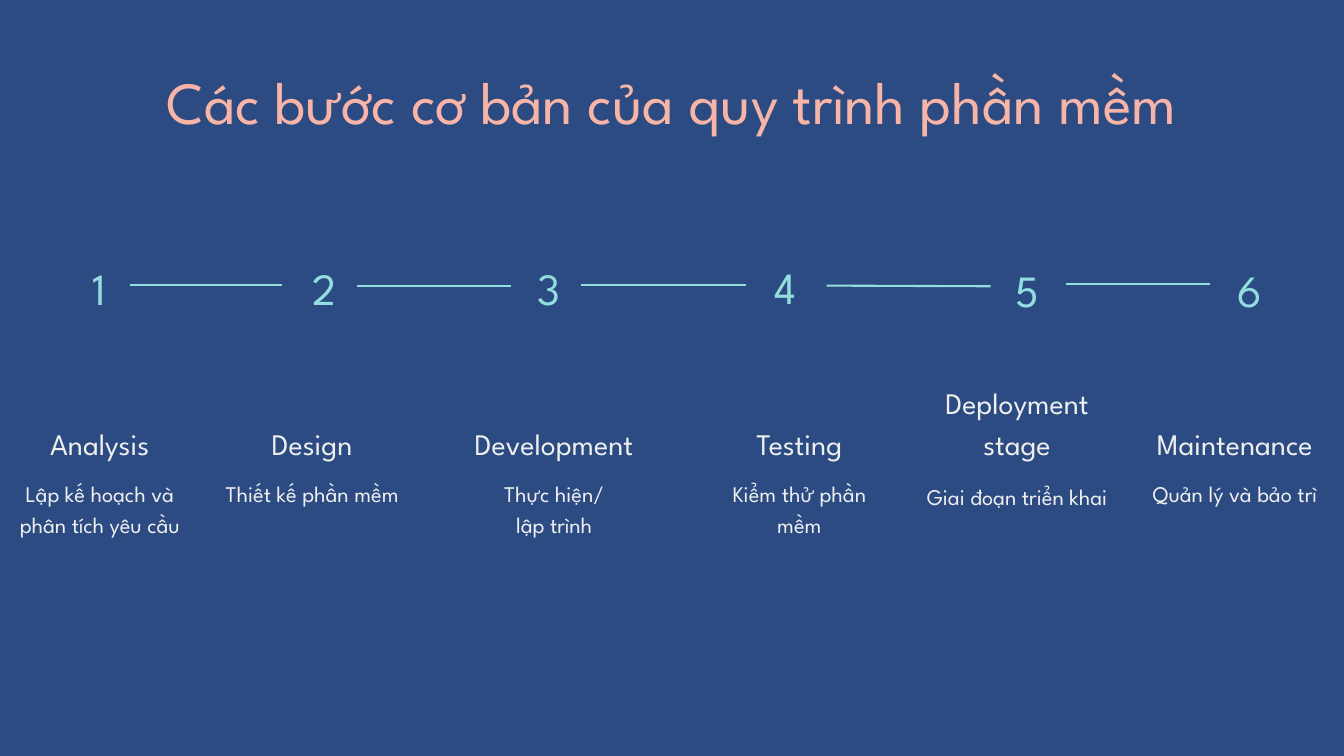
import pptx
import pptx.dml.color
import pptx.enum.shapes
import pptx.enum.text
import pptx.util
from lxml import etree
from pptx.util import Inches, Pt

THEME = {
    "font": "League Spartan",
    "background": "2B4B82",
    "line_width": 2.25,
    # role: (size, line spacing, letter spacing, colour)
    "title": (64, 76.8, 0, "F7B4A7"),
    "number": (47.8, 67, 8.2, "94DDDE"),
    "stage": (32, 44.8, 0, "EFEFEF"),
    "detail": (24, 33.6, 0, "EFEFEF"),
}

TITLE = "Các bước cơ bản của quy trình phần mềm"

# stage, detail lines, number (left, top), label (left, width), detail top
STEPS = [
    ("Analysis", ["Lập kế hoạch và phân tích yêu cầu"], (1.12, 3.75), (0.14, 2.69), 7.08),
    ("Design", ["Thiết kế phần mềm"], (4.47, 3.75), (3.33, 2.63), 7.08),
    ("Development", ["Thực hiện/", "lập trình"], (7.81, 3.75), (6.9, 2.69), 7.08),
    ("Testing", ["Kiểm thử phần mềm"], (11.33, 3.74), (10.55, 2.69), 7.08),
    ("Deployment stage", ["Giai đoạn triển khai"], (14.93, 3.78), (13.79, 2.69), 7.13),
    ("Maintenance", ["Quản lý và bảo trì"], (18.24, 3.78), (17.03, 2.69), 7.08),
]

# start x, start y, end x, end y
LINKS = [
    (1.93, 4.24, 4.2, 4.24),
    (5.31, 4.26, 7.61, 4.26),
    (8.65, 4.24, 11.1, 4.24),
    (12.3, 4.25, 14.74, 4.26),
    (15.86, 4.22, 18.01, 4.22),
]

STAGE_LINE = 0.62
STAGE_BOTTOM = 6.87
TWO_LINE_STAGES = {"Deployment stage"}


def color(value):
    return pptx.dml.color.RGBColor.from_string(value)


def add_text(slide, lines, role, left, top, width, height):
    size, leading, tracking, ink = THEME[role]
    frame = slide.shapes.add_textbox(
        Inches(left), Inches(top), Inches(width), Inches(height)).text_frame
    frame.word_wrap = True
    frame.margin_left = frame.margin_right = 0
    frame.margin_top = frame.margin_bottom = 0
    for index, line in enumerate(lines):
        paragraph = frame.add_paragraph() if index else frame.paragraphs[0]
        paragraph.alignment = pptx.enum.text.PP_ALIGN.CENTER
        paragraph.line_spacing = Pt(leading)
        run = paragraph.add_run()
        run.text = line
        run.font.name = THEME["font"]
        run.font.size = Pt(size)
        run.font.color.rgb = color(ink)
        if tracking:
            run.font._element.set("spc", str(round(tracking * 100)))


def add_link(slide, *ends):
    link = slide.shapes.add_connector(
        pptx.enum.shapes.MSO_CONNECTOR.STRAIGHT, *map(Inches, ends))
    link.line.color.rgb = color(THEME["number"][3])
    link.line.width = Pt(THEME["line_width"])
    etree.SubElement(link._element.spPr, pptx.oxml.ns.qn("a:effectLst"))


def main():
    deck = pptx.Presentation()
    deck.slide_width, deck.slide_height = Inches(20), Inches(11.25)
    slide = deck.slides.add_slide(deck.slide_layouts[6])
    slide.background.fill.solid()
    slide.background.fill.fore_color.rgb = color(THEME["background"])

    add_text(slide, [TITLE], "title", 1.12, 0.97, 17.75, 1.08)
    for link in LINKS:
        add_link(slide, *link)
    for number, (stage, detail, number_at, (left, width), detail_top) in enumerate(STEPS, 1):
        add_text(slide, [str(number)], "number", *number_at, 0.72, 0.91)
        stage_height = STAGE_LINE * (2 if stage in TWO_LINE_STAGES else 1)
        add_text(slide, [stage], "stage", left, STAGE_BOTTOM - stage_height, width, stage_height)
        add_text(slide, detail, "detail", left, detail_top, width, 0.9)

    deck.save("out.pptx")


if __name__ == "__main__":
    main()
